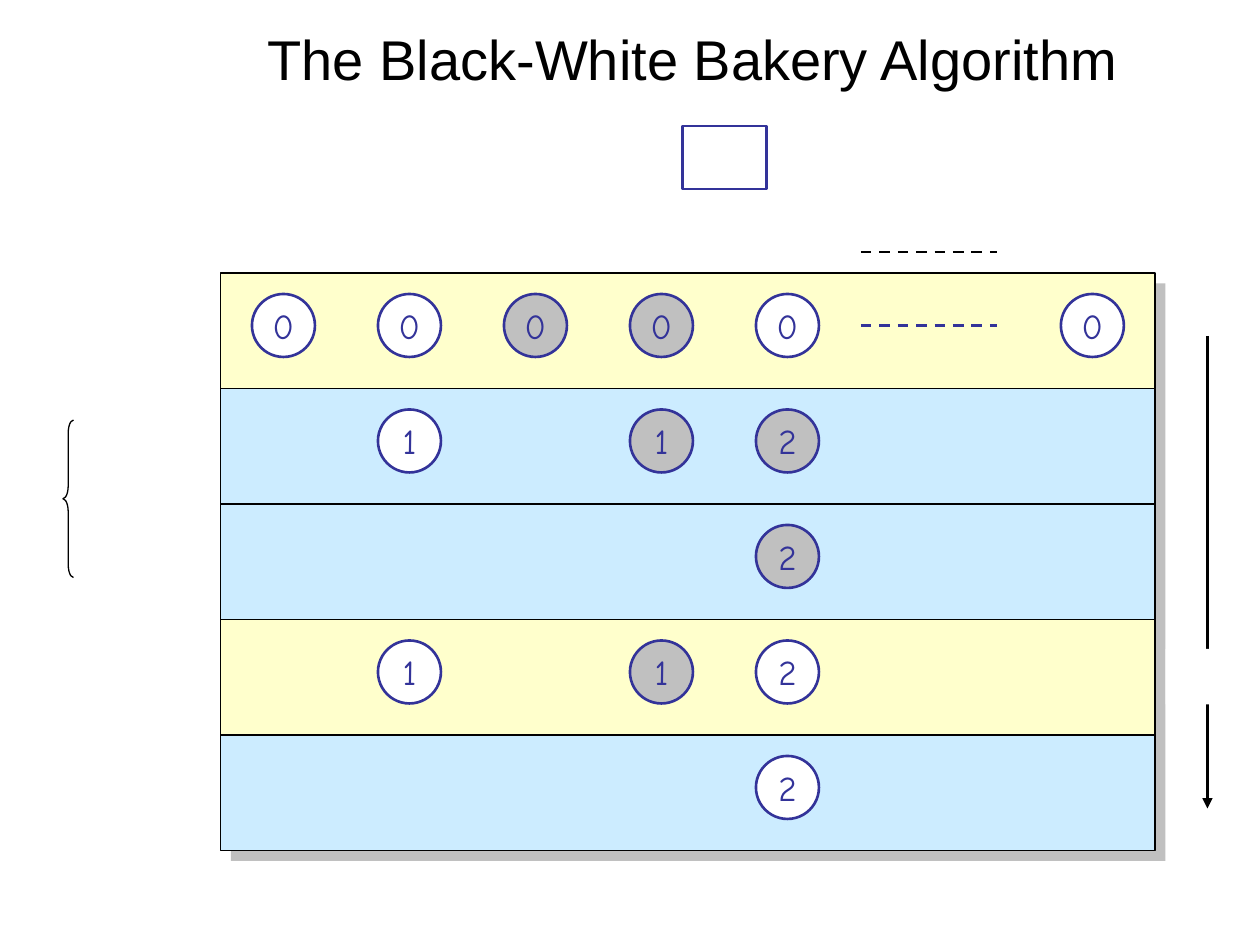
"""Build the Black-White Bakery Algorithm slide on a grid of 120 columns by 90 rows."""
from pptx import Presentation
from pptx.dml.color import RGBColor
from pptx.enum.dml import MSO_LINE
from pptx.enum.shapes import MSO_CONNECTOR, MSO_SHAPE
from pptx.enum.text import MSO_ANCHOR, PP_ALIGN
from pptx.oxml.ns import qn
from pptx.util import Inches, Pt
from lxml.etree import SubElement

BLACK = RGBColor(0x00, 0x00, 0x00)
WHITE = RGBColor(0xFF, 0xFF, 0xFF)
GRAY = RGBColor(0xC0, 0xC0, 0xC0)
NAVY = RGBColor(0x33, 0x33, 0x99)
YELLOW = RGBColor(0xFF, 0xFF, 0xCC)
BLUE = RGBColor(0xCC, 0xEC, 0xFF)

prs = Presentation()
prs.slide_width, prs.slide_height = Inches(10), Inches(7.5)
s = prs.slides.add_slide(prs.slide_layouts[6])
COL, ROW = prs.slide_width // 120, prs.slide_height // 90


def add_box(kind, x, y, w, h, fill=None, line=None, weight=0.75):
    sp = s.shapes.add_shape(kind, int(x * COL), int(y * ROW), int(w * COL), int(h * ROW))
    sp.shadow.inherit = False
    for fmt, color in ((sp.fill, fill), (sp.line.fill, line)):
        if color is None:
            fmt.background()
        else:
            fmt.solid()
            fmt.fore_color.rgb = color
    if line is not None:
        sp.line.width = Pt(weight)
    return sp


def set_text(sp, text, wrap, font):
    tf = sp.text_frame
    for name, value in {"word_wrap": wrap, "vertical_anchor": MSO_ANCHOR.MIDDLE}.items():
        setattr(tf, name, value)
    p = tf.paragraphs[0]
    p.alignment = PP_ALIGN.CENTER
    r = p.add_run()
    r.text = text
    r.font.color.rgb = font["color"]
    for name in ("name", "size"):
        setattr(r.font, name, font[name])


LINES = [
    (115, 32, 115, 77, BLACK, None),
    (82, 24, 95, 24, BLACK, MSO_LINE.DASH),
    (82, 31, 95, 31, NAVY, MSO_LINE.DASH),
]
BANDS = [YELLOW, BLUE, BLUE, YELLOW, BLUE]
LEFT, TOP, WIDTH, HEIGHT = 21, 26, 89, 11

add_box(MSO_SHAPE.RECTANGLE, LEFT + 1, TOP + 1, WIDTH, HEIGHT * len(BANDS), GRAY)
for i, color in enumerate(BANDS):
    add_box(MSO_SHAPE.RECTANGLE, LEFT, TOP + i * HEIGHT, WIDTH, HEIGHT, color, BLACK)

for x1, y1, x2, y2, color, dash in LINES:
    cx = s.shapes.add_connector(MSO_CONNECTOR.STRAIGHT, x1 * COL, y1 * ROW, x2 * COL, y2 * ROW)
    for name, value in {"width": Pt(1.5), "dash_style": dash}.items():
        setattr(cx.line, name, value)
    cx.line.color.rgb = color
    if dash is None:
        SubElement(cx.line._get_or_add_ln(), qn("a:tailEnd"), type="triangle")
    SubElement(cx._element.spPr, qn("a:effectLst"))
add_box(MSO_SHAPE.RECTANGLE, 111, 61.8, 8.5, 5.3, WHITE)

TICKETS = [
    (0, {0: ("0", WHITE), 1: ("0", WHITE), 2: ("0", GRAY),
         3: ("0", GRAY), 4: ("0", WHITE), 6.42: ("0", WHITE)}),
    (1, {1: ("1", WHITE), 3: ("1", GRAY), 4: ("2", GRAY)}),
    (2, {4: ("2", GRAY)}),
    (3, {1: ("1", WHITE), 3: ("1", GRAY), 4: ("2", WHITE)}),
    (4, {4: ("2", WHITE)}),
]
ticket_font = {"name": "Comic Neue", "size": Pt(20), "color": NAVY}
for row, tickets in TICKETS:
    for col, (number, color) in tickets.items():
        sp = add_box(MSO_SHAPE.OVAL, 24 + 12 * col, TOP + 2 + HEIGHT * row, 6, 6, color, NAVY, 1.5)
        set_text(sp, number, False, ticket_font)

add_box(MSO_SHAPE.RECTANGLE, 65, 12, 8, 6, WHITE, NAVY, 1.5)
brace = add_box(MSO_SHAPE.LEFT_BRACE, 6, 40, 1, 15, None, BLACK)
brace.adjustments[0] = 1.25

title = s.shapes.add_textbox(15 * COL, ROW, 102 * COL, 9 * ROW)
set_text(title, "The Black-White Bakery Algorithm", True,
         {"name": "Arial", "size": Pt(32), "color": BLACK})

prs.save("out.pptx")
